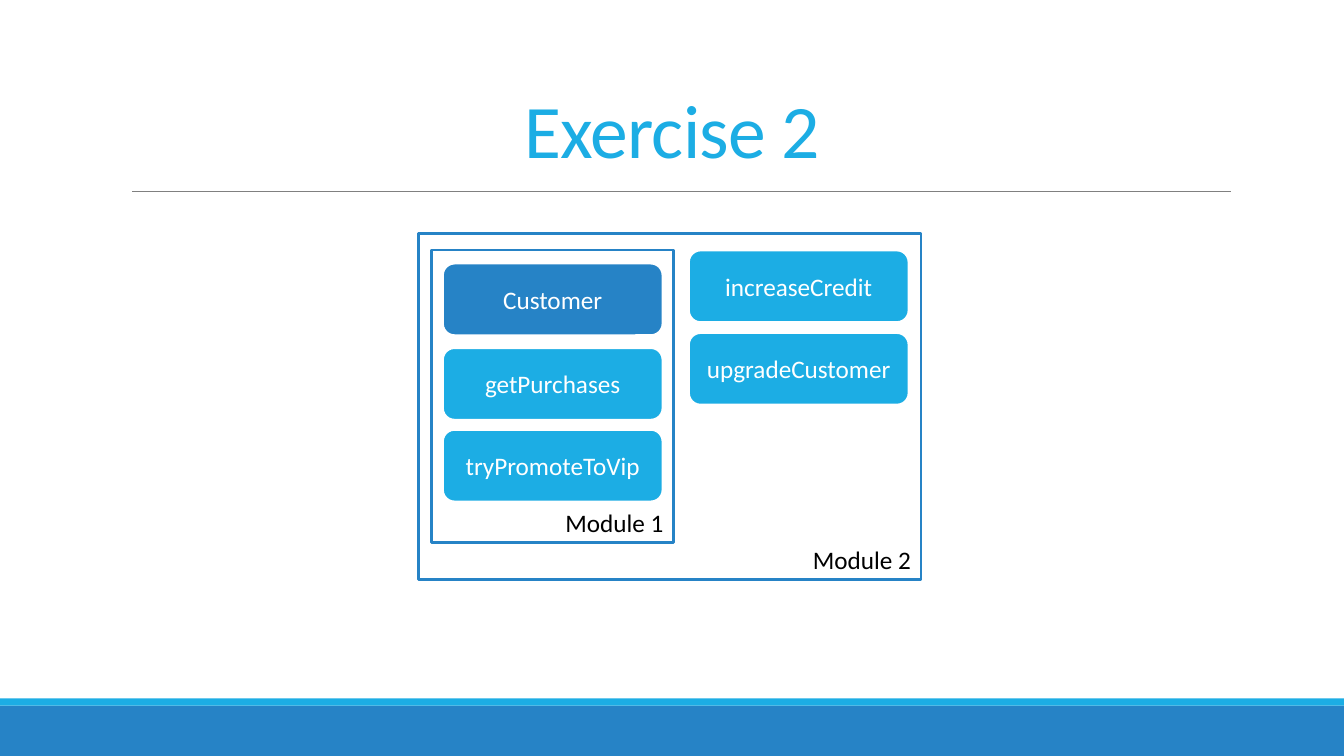
from dataclasses import dataclass

from lxml.etree import SubElement
from pptx import Presentation
from pptx.dml.color import RGBColor
from pptx.enum.shapes import MSO_CONNECTOR, MSO_SHAPE
from pptx.enum.text import MSO_ANCHOR, PP_ALIGN
from pptx.oxml.ns import qn
from pptx.util import Cm, Pt


@dataclass(frozen=True)
class Theme:
    font: str = "Calibri"
    sky: RGBColor = RGBColor(0x1C, 0xAD, 0xE4)
    blue: RGBColor = RGBColor(0x26, 0x83, 0xC6)
    grey: RGBColor = RGBColor(0x80, 0x80, 0x80)
    white: RGBColor = RGBColor(0xFF, 0xFF, 0xFF)
    black: RGBColor = RGBColor(0, 0, 0)
    title_size: Pt = Pt(54)
    label_size: Pt = Pt(18)
    outline: Pt = Pt(2)
    rule: Pt = Pt(0.5)


theme = Theme()
SLIDE_WIDTH, SLIDE_HEIGHT = 33.87, 19.05

deck = Presentation()
deck.slide_width, deck.slide_height = Cm(SLIDE_WIDTH), Cm(SLIDE_HEIGHT)
slide = deck.slides.add_slide(deck.slide_layouts[6])


def add_box(preset, left, top, width, height, fill=None, line=None):
    """Add a shadowless shape, in centimetres; None leaves fill or line out."""
    box = slide.shapes.add_shape(preset, Cm(left), Cm(top), Cm(width), Cm(height))
    box.shadow.inherit = False
    if fill is None:
        box.fill.background()
    else:
        box.fill.solid()
        box.fill.fore_color.rgb = fill
    if line is None:
        box.line.fill.background()
    else:
        box.line.color.rgb = line
        box.line.width = theme.outline
    return box


def write(box, text, size, color, align, anchor):
    frame = box.text_frame
    frame.word_wrap = True
    frame.vertical_anchor = anchor
    paragraph = frame.paragraphs[0]
    paragraph.alignment = align
    run = paragraph.add_run()
    run.text = text
    run.font.name = theme.font
    run.font.size = size
    run.font.color.rgb = color
    return paragraph, run


# Footer bands
add_box(MSO_SHAPE.RECTANGLE, 0, 17.78, SLIDE_WIDTH, 1.27, fill=theme.blue)
add_box(MSO_SHAPE.RECTANGLE, 0, 17.6, SLIDE_WIDTH, 0.18, fill=theme.sky)

# Heading and the rule below it
title_rule = slide.shapes.add_connector(
    MSO_CONNECTOR.STRAIGHT, Cm(3.33), Cm(4.82), Cm(31.01), Cm(4.82))
title_rule.line.color.rgb = theme.grey
title_rule.line.width = theme.rule
SubElement(title_rule.line._get_or_add_ln().getparent(), qn("a:effectLst"))

title = slide.shapes.add_textbox(Cm(3.73), Cm(1.09), Cm(26.42), Cm(3.43))
heading, heading_run = write(title, "Exercise 2", theme.title_size, theme.sky,
                             PP_ALIGN.CENTER, MSO_ANCHOR.BOTTOM)
heading.line_spacing = 0.85
heading_run.font._element.set("spc", "-50")

# Modules, each with the members it holds
MEMBER_WIDTH, MEMBER_HEIGHT = 5.56, 1.83
modules = [
    ("Module 1", (10.87, 6.3, 6.1, 7.37), 11.15,
     [("Customer", 6.63, theme.blue),
      ("getPurchases", 8.76, theme.sky),
      ("tryPromoteToVip", 10.82, theme.sky)]),
    ("Module 2", (10.54, 5.89, 12.67, 8.71), 17.35,
     [("increaseCredit", 6.3, theme.sky),
      ("upgradeCustomer", 8.38, theme.sky)]),
]
for module_name, bounds, member_left, members in modules:
    for member_name, member_top, fill in members:
        member = add_box(MSO_SHAPE.ROUNDED_RECTANGLE, member_left, member_top,
                         MEMBER_WIDTH, MEMBER_HEIGHT, fill, theme.white)
        write(member, member_name, theme.label_size, theme.white,
              PP_ALIGN.CENTER, MSO_ANCHOR.MIDDLE)
    module = add_box(MSO_SHAPE.RECTANGLE, *bounds, line=theme.blue)
    write(module, module_name, theme.label_size, theme.black,
          PP_ALIGN.RIGHT, MSO_ANCHOR.BOTTOM)

deck.save("out.pptx")
